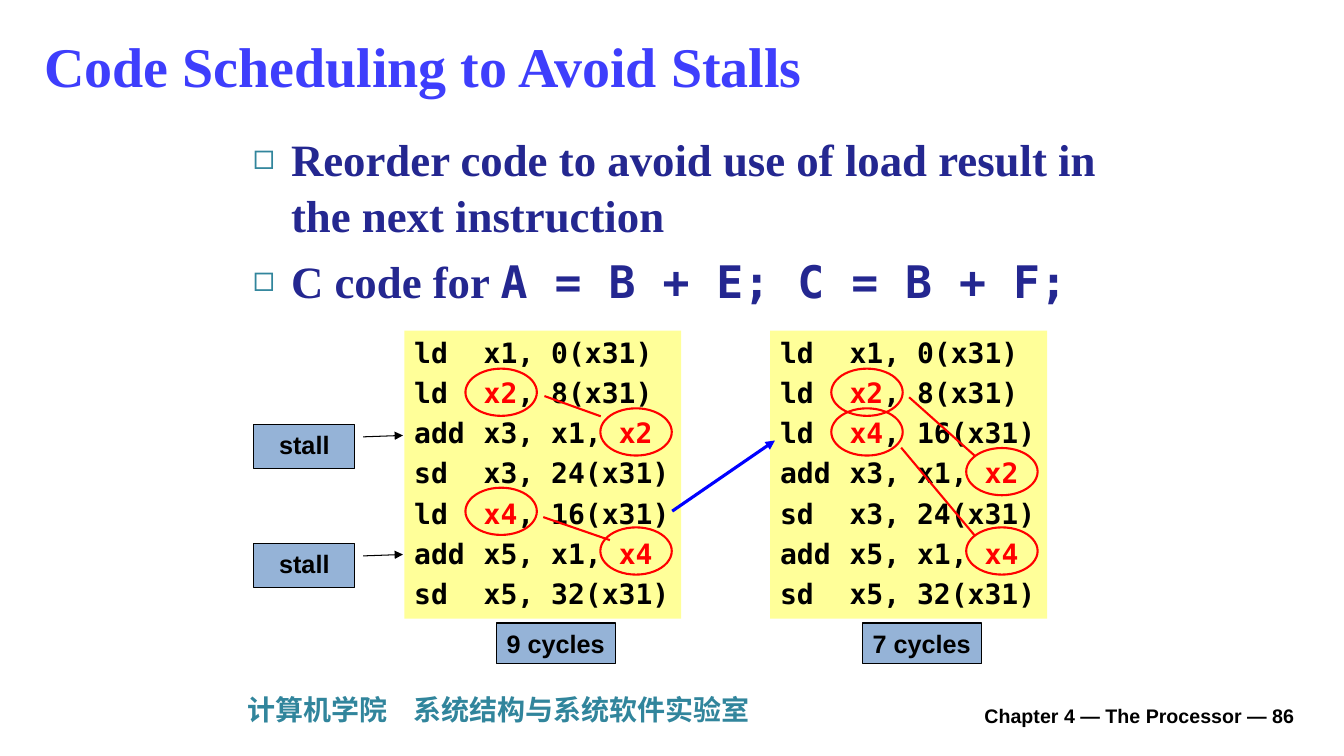
"""Build a slide on code scheduling that avoids load-use stalls."""
from lxml.etree import SubElement
from pptx import Presentation
from pptx.dml.color import RGBColor
from pptx.enum.shapes import MSO_CONNECTOR, MSO_SHAPE
from pptx.enum.text import MSO_ANCHOR, MSO_AUTO_SIZE, PP_ALIGN
from pptx.oxml.ns import qn
from pptx.util import Cm, Pt

SERIF, SANS, MONO, CHINESE = "Times New Roman", "Arial", "DejaVu Sans Mono", "Noto Sans CJK SC"
BLACK, RED, BLUE, TEAL = "000000", "FF0000", "0000FF", "31859C"
TITLE_BLUE, NAVY, YELLOW, LABEL_BLUE = "3E3EFC", "242790", "FFFF99", "95B3D7"
CODE_TOP, ROW_HEIGHT = 8.33, 1.0

STALLED_CODE = [
    ("ld\tx1, 0(x31)",),
    ("ld\t", "x2", ", 8(x31)"),
    ("add\tx3, x1, ", "x2"),
    ("sd\tx3, 24(x31)",),
    ("ld\t", "x4", ", 16(x31)"),
    ("add\tx5, x1, ", "x4"),
    ("sd\tx5, 32(x31)",),
]
SCHEDULED_CODE = [STALLED_CODE[row] for row in (0, 1, 4, 2, 3, 5, 6)]
LISTINGS = [(10.19, STALLED_CODE, "9 cycles"), (19.41, SCHEDULED_CODE, "7 cycles")]
DEPENDENCIES = [
    (13.72, 9.98, 15.14, 10.49),
    (13.69, 13.03, 15.37, 13.61),
    (22.91, 10.01, 24.56, 11.48),
    (22.71, 11.28, 24.56, 13.49),
]


def colour(value):
    """Turn a hex string into a colour."""
    return RGBColor.from_string(value)


def add_span(para, text, font, size, shade):
    """Append one bold run to a paragraph."""
    span = para.add_run()
    span.text = text
    span.font.name = font
    span.font.size = Pt(size)
    span.font.bold = True
    span.font.color.rgb = colour(shade)
    if font == CHINESE:
        SubElement(span.font._element, qn("a:ea"), typeface=font)


def add_tab_stop(para, position):
    """Give a paragraph one left tab stop."""
    stops = SubElement(para._p.get_or_add_pPr(), qn("a:tabLst"))
    SubElement(stops, qn("a:tab"), pos=str(Cm(position)), algn="l")


def add_bullet(para):
    """Give a paragraph a hanging teal square bullet."""
    properties = para._p.get_or_add_pPr()
    properties.set("marL", str(Cm(0.96)))
    properties.set("indent", str(Cm(-0.96)))
    tint = SubElement(properties, qn("a:buClr"))
    SubElement(tint, qn("a:srgbClr"), val=TEAL)
    SubElement(properties, qn("a:buSzPct"), val="80000")
    SubElement(properties, qn("a:buChar"), char="◻")


def place(shape, left, top, width, height):
    """Move and size a shape."""
    shape.left, shape.top = Cm(left), Cm(top)
    shape.width, shape.height = Cm(width), Cm(height)


def prepare_frame(shape, anchor=MSO_ANCHOR.TOP, wrap=True):
    """Set up the text frame of a shape and return its first paragraph."""
    frame = shape.text_frame
    frame.auto_size = MSO_AUTO_SIZE.NONE
    frame.word_wrap = wrap
    frame.vertical_anchor = anchor
    para = frame.paragraphs[0]
    para.alignment = PP_ALIGN.LEFT
    para.space_before = Pt(0)
    return para


def add_arrowhead(line):
    """Put a triangle at the far end of a line."""
    SubElement(line._get_or_add_ln(), qn("a:tailEnd"), type="triangle")


def add_figure(page, kind, box, fill=None, outline=None, weight=0.75):
    """Add a flat preset shape."""
    shape = page.shapes.add_shape(kind, *map(Cm, box))
    shape.shadow.inherit = False
    if fill:
        shape.fill.solid()
        shape.fill.fore_color.rgb = colour(fill)
    else:
        shape.fill.background()
    if outline:
        shape.line.color.rgb = colour(outline)
        shape.line.width = Pt(weight)
    else:
        shape.line.fill.background()
    return shape


def add_line(page, ends, shade, weight):
    """Add a straight line without shadow."""
    line = page.shapes.add_connector(MSO_CONNECTOR.STRAIGHT, *map(Cm, ends))
    line.line.color.rgb = colour(shade)
    line.line.width = Pt(weight)
    SubElement(line._element.spPr, qn("a:effectLst"))
    return line


def add_caption(page, box, text, font, size, shade, anchor=MSO_ANCHOR.TOP):
    """Add a one-line text box and return its paragraph."""
    para = prepare_frame(page.shapes.add_textbox(*map(Cm, box)), anchor)
    add_span(para, text, font, size, shade)
    return para


def add_code(page, left, lines):
    """Add a yellow listing with its registers in red."""
    shape = add_figure(page, MSO_SHAPE.RECTANGLE, (left, CODE_TOP, 6.98, 7.26), YELLOW)
    first = prepare_frame(shape)
    for row, pieces in enumerate(lines):
        para = shape.text_frame.add_paragraph() if row else first
        para.alignment = PP_ALIGN.LEFT
        para.space_before = Pt(4.66 if row else 0)
        add_tab_stop(para, 1.75)
        for position, piece in enumerate(pieces):
            add_span(para, piece, MONO, 20, RED if position == 1 else BLACK)


def add_rings(page, left, lines):
    """Circle the red registers of a listing."""
    for row, pieces in enumerate(lines):
        if len(pieces) > 1:
            offset = 1.54 if pieces[0] == "ld\t" else 4.94
            box = (left + offset, CODE_TOP - 0.04 + row * ROW_HEIGHT, 1.8, 1.19)
            add_figure(page, MSO_SHAPE.OVAL, box, None, RED, 1.5)


def add_cycles(page, left, text):
    """Add the cycle count under a listing."""
    box = (left + 2.33, 15.7, 3, 1.02)
    shape = add_figure(page, MSO_SHAPE.RECTANGLE, box, LABEL_BLUE, BLACK)
    add_span(prepare_frame(shape, wrap=False), text, SANS, 18, BLACK)


def add_stall(page, row):
    """Add a stall callout pointing at a code row."""
    box = (6.4, CODE_TOP + 0.36 + row * ROW_HEIGHT, 2.54, 1.12)
    shape = add_figure(page, MSO_SHAPE.LINE_CALLOUT_1, box, LABEL_BLUE, BLACK)
    for index, value in enumerate((0.285, 1.083, 0.253, 1.479)):
        shape.adjustments[index] = value
    add_arrowhead(shape.line)
    para = prepare_frame(shape)
    para.alignment = PP_ALIGN.CENTER
    add_span(para, "stall", SANS, 18, BLACK)


def fill_title(page):
    """Place and fill the title."""
    title = page.shapes.title
    place(title, 0.86, 0.33, 29.16, 2.64)
    para = prepare_frame(title, MSO_ANCHOR.MIDDLE)
    add_span(para, "Code Scheduling to Avoid Stalls", SERIF, 40, TITLE_BLUE)


def fill_body(page):
    """Place and fill the bullet list."""
    body = page.placeholders[1]
    place(body, 6.12, 3.12, 22.99, 5.13)
    reorder = prepare_frame(body)
    example = body.text_frame.add_paragraph()
    example.space_before = Pt(6.4)
    for para in (reorder, example):
        add_bullet(para)
        para.line_spacing = 1.05
    advice = "Reorder code to avoid use of load result in the next instruction"
    add_span(reorder, advice, SERIF, 32, NAVY)
    add_span(example, "C code for ", SERIF, 32, NAVY)
    add_span(example, "A = B + E; C = B + F;", MONO, 32, NAVY)


def main():
    """Build and save the deck."""
    deck = Presentation()
    deck.slide_width, deck.slide_height = Cm(33.87), Cm(19.05)
    page = deck.slides.add_slide(deck.slide_layouts[1])
    fill_title(page)
    fill_body(page)
    laboratory = add_caption(page, (5.99, 17.32, 24.54, 1.12),
                             "计算机学院\t系统结构与系统软件实验室", CHINESE, 20, TEAL)
    add_tab_stop(laboratory, 4.18)
    add_caption(page, (24.56, 17.53, 8.59, 1.02), "Chapter 4 — The Processor — 86",
                SANS, 14, BLACK, MSO_ANCHOR.MIDDLE)
    for left, lines, cycles in LISTINGS:
        add_code(page, left, lines)
        add_rings(page, left, lines)
        add_cycles(page, left, cycles)
    for row in (2, 5):
        add_stall(page, row)
    for ends in DEPENDENCIES:
        add_line(page, ends, RED, 1.5)
    add_arrowhead(add_line(page, (16.94, 12.88, 19.53, 11.1), BLUE, 2.25).line)
    deck.save("out.pptx")


if __name__ == "__main__":
    main()
